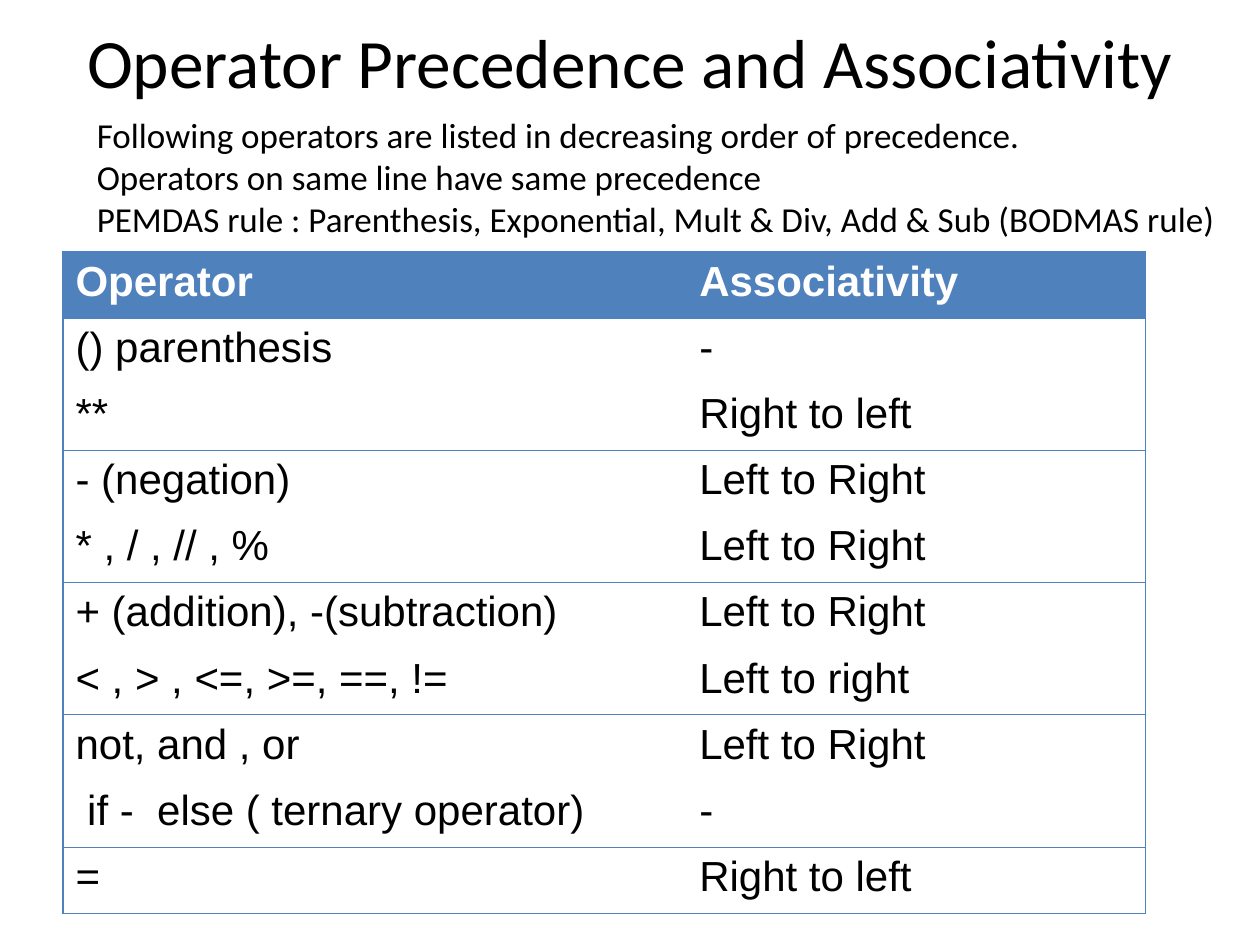
from dataclasses import dataclass

from lxml import etree
from pptx import Presentation
from pptx.dml.color import RGBColor
from pptx.enum.text import MSO_ANCHOR, PP_ALIGN
from pptx.oxml.ns import qn
from pptx.util import Inches, Pt

MIDDLE = MSO_ANCHOR.MIDDLE
TOP = MSO_ANCHOR.TOP
CENTER = PP_ALIGN.CENTER
LEFT = PP_ALIGN.LEFT


@dataclass(frozen=True)
class Theme:
    black: RGBColor = RGBColor(0x00, 0x00, 0x00)
    white: RGBColor = RGBColor(0xFF, 0xFF, 0xFF)
    blue: RGBColor = RGBColor(0x4F, 0x81, 0xBD)
    text_font: str = "Calibri"
    table_font: str = "Arial"
    title_size: Pt = Pt(39.6)
    intro_size: Pt = Pt(20)
    table_size: Pt = Pt(24)
    border_width: Pt = Pt(0.75)


theme = Theme()


def add_text(slide, bounds, lines, size, align, anchor):
    box = slide.shapes.add_textbox(*(Inches(value) for value in bounds))
    frame = box.text_frame
    frame.word_wrap = True
    frame.vertical_anchor = anchor
    frame.text = "\n".join(lines)
    for para in frame.paragraphs:
        para.alignment = align
        para.font.name = theme.text_font
        para.font.size = size
        para.font.color.rgb = theme.black


def set_borders(cell, visible_sides):
    properties = cell._tc.get_or_add_tcPr()
    for side in "LRTB":
        line = etree.SubElement(properties, qn(f"a:ln{side}"), w=str(int(theme.border_width)))
        if side in visible_sides:
            fill = etree.SubElement(line, qn("a:solidFill"))
            etree.SubElement(fill, qn("a:srgbClr"), val=str(theme.blue))
        else:
            etree.SubElement(line, qn("a:noFill"))


deck = Presentation()
deck.slide_width = Inches(10)
deck.slide_height = Inches(7.5)
page = deck.slides.add_slide(deck.slide_layouts[6])

add_text(page, (0.5, 0, 9, 0.97), ["Operator Precedence and Associativity"],
         theme.title_size, CENTER, MIDDLE)

operators = [
    ("Operator", "Associativity"),
    ("() parenthesis", "-"),
    ("**", "Right to left"),
    ("- (negation)", "Left to Right"),
    ("* , / , // , %", "Left to Right"),
    ("+ (addition), -(subtraction)", "Left to Right"),
    ("< , > , <=, >=, ==, !=", "Left to right"),
    ("not, and , or", "Left to Right"),
    (" if -  else ( ternary operator)", "-"),
    ("=", "Right to left"),
]
column_widths = [4.95, 3.64]
last_row = len(operators) - 1

table = page.shapes.add_table(
    len(operators), len(column_widths),
    Inches(0.5), Inches(2), Inches(sum(column_widths)), Inches(5.25),
).table
table.horz_banding = False
for column, width in zip(table.columns, column_widths):
    column.width = Inches(width)

for row_index, row in enumerate(operators):
    is_header = row_index == 0
    sides_above = "T" if is_header or row_index % 2 else ""
    sides_below = "B" if row_index == last_row or row_index % 2 == 0 else ""
    for column_index, text in enumerate(row):
        cell = table.cell(row_index, column_index)
        set_borders(cell, "LR"[column_index] + sides_above + sides_below)
        if is_header:
            cell.fill.solid()
            cell.fill.fore_color.rgb = theme.blue
        else:
            cell.fill.background()
        cell.text = text
        para = cell.text_frame.paragraphs[0]
        para.font.name = theme.table_font
        para.font.size = theme.table_size
        para.font.bold = is_header
        para.font.color.rgb = theme.white if is_header else theme.black

add_text(page, (0.67, 0.85, 9.16, 1.11), [
    "Following operators are listed in decreasing order of precedence.",
    "Operators on same line have same precedence",
    "PEMDAS rule : Parenthesis, Exponential, Mult & Div, Add & Sub (BODMAS rule)",
], theme.intro_size, LEFT, TOP)

deck.save("out.pptx")
